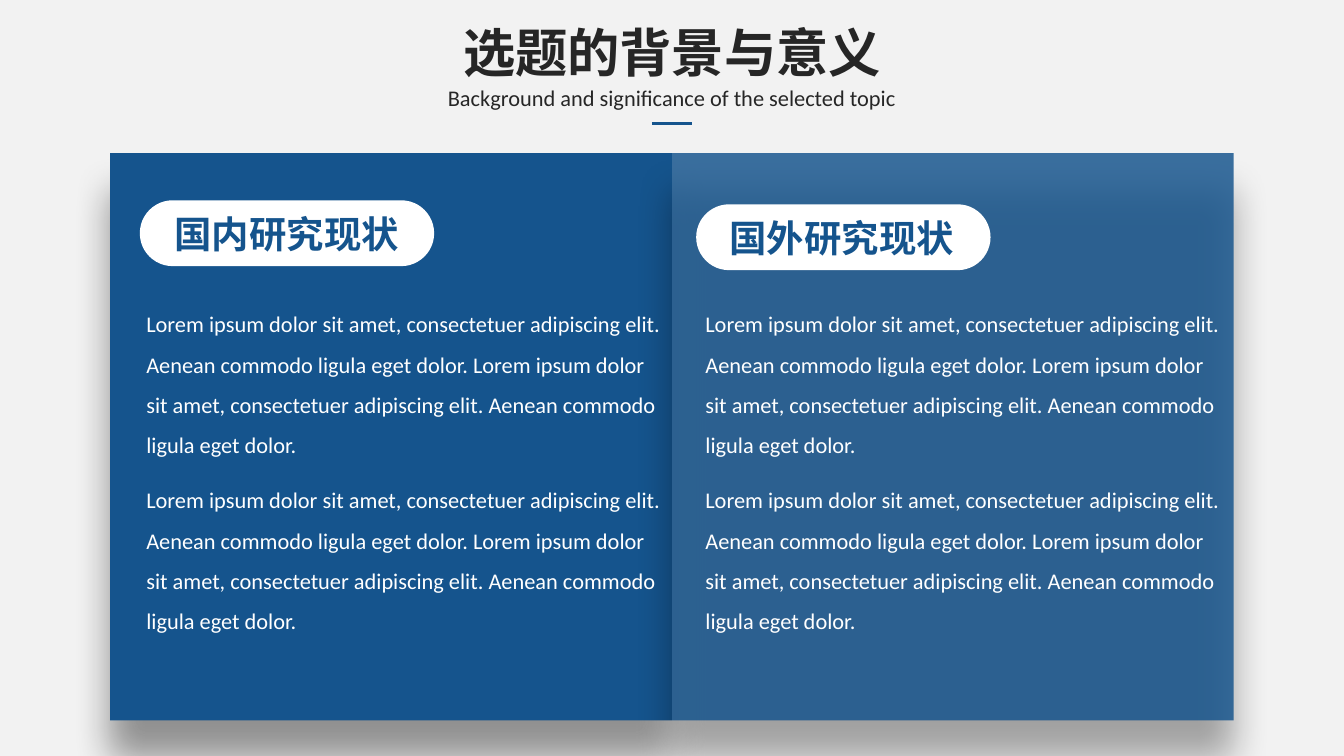
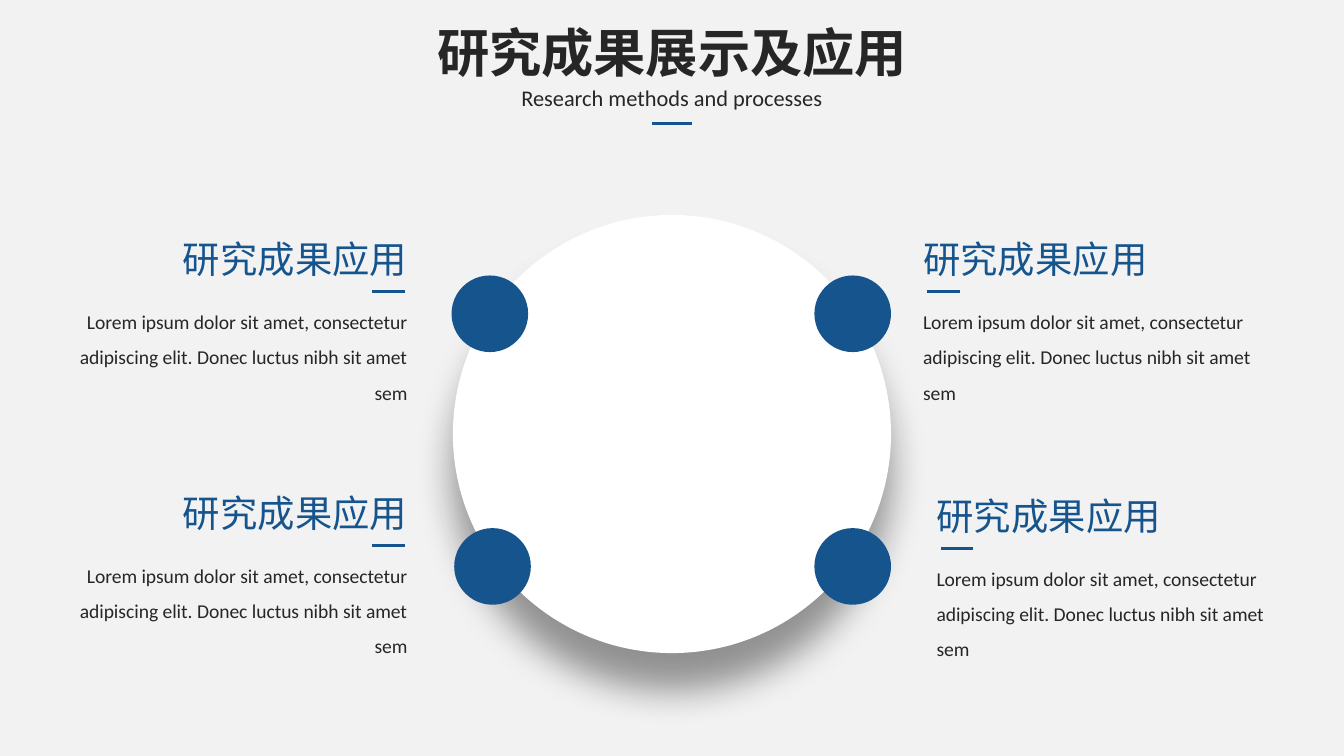
from lxml.etree import SubElement
from pptx import Presentation
from pptx.dml.color import RGBColor
from pptx.enum.shapes import MSO_CONNECTOR, MSO_SHAPE as Preset
from pptx.enum.text import MSO_ANCHOR, MSO_AUTO_SIZE, PP_ALIGN as Align
from pptx.oxml.ns import qn
from pptx.util import Emu, Pt

PX = 9144  # 100 px to the inch
BLUE, DARK, WHITE, PALE = "15548D", "262626", "FFFFFF", "F2F2F2"
LATIN, CJK = "Calibri", "Noto Sans CJK SC"
rgb = RGBColor.from_string


def write(holder, text, size=12, color=DARK, font=LATIN, bold=False,
          align=Align.LEFT, spacing=None, wrap=False):
    frame = holder.text_frame
    frame.word_wrap = wrap
    frame.auto_size = MSO_AUTO_SIZE.SHAPE_TO_FIT_TEXT
    frame.vertical_anchor = MSO_ANCHOR.TOP
    paragraph = frame.paragraphs[0]
    paragraph.alignment = align
    paragraph.line_spacing = spacing
    run = paragraph.add_run()
    run.text = text
    run.font.size, run.font.bold, run.font.name = Pt(size), bold, font
    run.font.color.rgb = rgb(color)
    SubElement(run.font._element, qn("a:ea"), typeface=font)


def draw(slide, preset, box, color, opacity=100, shadow=False):
    """Add a borderless shape; box is left, top, width, height in px."""
    shape = slide.shapes.add_shape(preset, *[Emu(v * PX) for v in box])
    shape.fill.solid()
    shape.fill.fore_color.rgb = rgb(color)
    shape.line.fill.background()
    shape.shadow.inherit = False
    properties = shape._element.spPr
    if opacity < 100:
        tint = properties.find(qn("a:solidFill")).find(qn("a:srgbClr"))
        SubElement(tint, qn("a:alpha"), val=str(opacity * 1000))
    if shadow:
        outer = SubElement(properties.find(qn("a:effectLst")), qn("a:outerShdw"),
                           blurRad=str(Pt(20)), dist=str(Pt(20)), dir=str(90 * 60000),
                           algn="t", rotWithShape="0")
        shade = SubElement(outer, qn("a:srgbClr"), val="000000")
        SubElement(shade, qn("a:alpha"), val="40000")
    return shape


deck = Presentation()
deck.slide_width = Emu(1000 * PX)
deck.slide_height = Emu(deck.slide_width * 9 // 16)
backdrop = deck.slide_master.background.fill
backdrop.solid()
backdrop.fore_color.rgb = rgb(PALE)

# Shared header: title, English subtitle, short rule; all centred
headers = [
    ("选题的背景与意义", 334, "Background and significance of the selected topic", 354),
    ("研究成果展示及应用", 374, "Research methods and processes", 244),
]
slides, rules = [], []
for title_text, title_width, subtitle_text, subtitle_width in headers:
    slide = deck.slides.add_slide(deck.slide_layouts[5])
    title = slide.shapes.title
    title.left, title.top, title.width, title.height = [
        Emu(v * PX) for v in (500 - title_width // 2, 10, title_width, 57)]
    write(title, title_text, size=28, font=CJK, bold=True, align=Align.CENTER)
    subtitle = slide.shapes.add_textbox(
        *[Emu(v * PX) for v in (500 - subtitle_width // 2, 58, subtitle_width, 30)])
    write(subtitle, subtitle_text, align=Align.CENTER)
    rules.append((slide, 485, 92, 30))
    slides.append(slide)
background, results = slides

# Slide 1: two adjoining panels
status_text = ("Lorem ipsum dolor sit amet, consectetuer adipiscing elit. "
               "Aenean commodo ligula eget dolor. Lorem ipsum dolor sit amet, "
               "consectetuer adipiscing elit. Aenean commodo ligula eget dolor.")
for panel_left, opacity in [(82, 100), (500, 83)]:
    draw(background, Preset.RECTANGLE, (panel_left, 114, 418, 422), BLUE,
         opacity=opacity, shadow=True)

for heading, pill_left, pill_top, heading_left, text_left in [
        ("国内研究现状", 104, 149, 120, 99), ("国外研究现状", 518, 152, 533, 515)]:
    pill = draw(background, Preset.ROUNDED_RECTANGLE, (pill_left, pill_top, 219, 49), WHITE)
    pill.adjustments[0] = 0.5
    label = background.shapes.add_textbox(
        *[Emu(v * PX) for v in (heading_left, pill_top + 3, 188, 44)])
    write(label, heading, size=20, color=BLUE, font=CJK, bold=True)
    for text_top in (216, 347):
        body = background.shapes.add_textbox(
            *[Emu(v * PX) for v in (text_left, text_top, 409, 131)])
        write(body, status_text, color=WHITE, spacing=1.5, wrap=True)

# Slide 2: a disc with four dots and a text block beside each
draw(results, Preset.OVAL, (337, 160, 326, 326), WHITE, shadow=True)
for dot_left, dot_top in [(336, 205), (606, 205), (606, 393), (338, 393)]:
    draw(results, Preset.OVAL, (dot_left, dot_top, 57, 57), BLUE)

result_text = ("Lorem ipsum dolor sit amet, consectetur adipiscing elit. "
               "Donec luctus nibh sit amet sem")
for left, top, align in [(30, 217, Align.RIGHT), (30, 406, Align.RIGHT),
                         (677, 217, Align.LEFT), (687, 408, Align.LEFT)]:
    on_left = align == Align.RIGHT
    body = results.shapes.add_textbox(*[Emu(v * PX) for v in (left, top, 283, 90)])
    write(body, result_text, size=10.5, align=align, spacing=1.5, wrap=True)
    heading_left = left + 95 if on_left else left
    label = results.shapes.add_textbox(
        *[Emu(v * PX) for v in (heading_left, top - 46, 188, 44)])
    write(label, "研究成果应用", size=20, color=BLUE, font=CJK, align=align)
    rules.append((results, left + (247 if on_left else 13), top, 24))

# Short accent rules under all headings
for slide, left, top, width in rules:
    rule = slide.shapes.add_connector(
        MSO_CONNECTOR.STRAIGHT, *[Emu(v * PX) for v in (left, top, left + width, top)])
    rule.line.color.rgb = rgb(BLUE)
    rule.line.width = Pt(1.5)
    SubElement(rule._element.spPr, qn("a:effectLst"))

deck.save("out.pptx")
